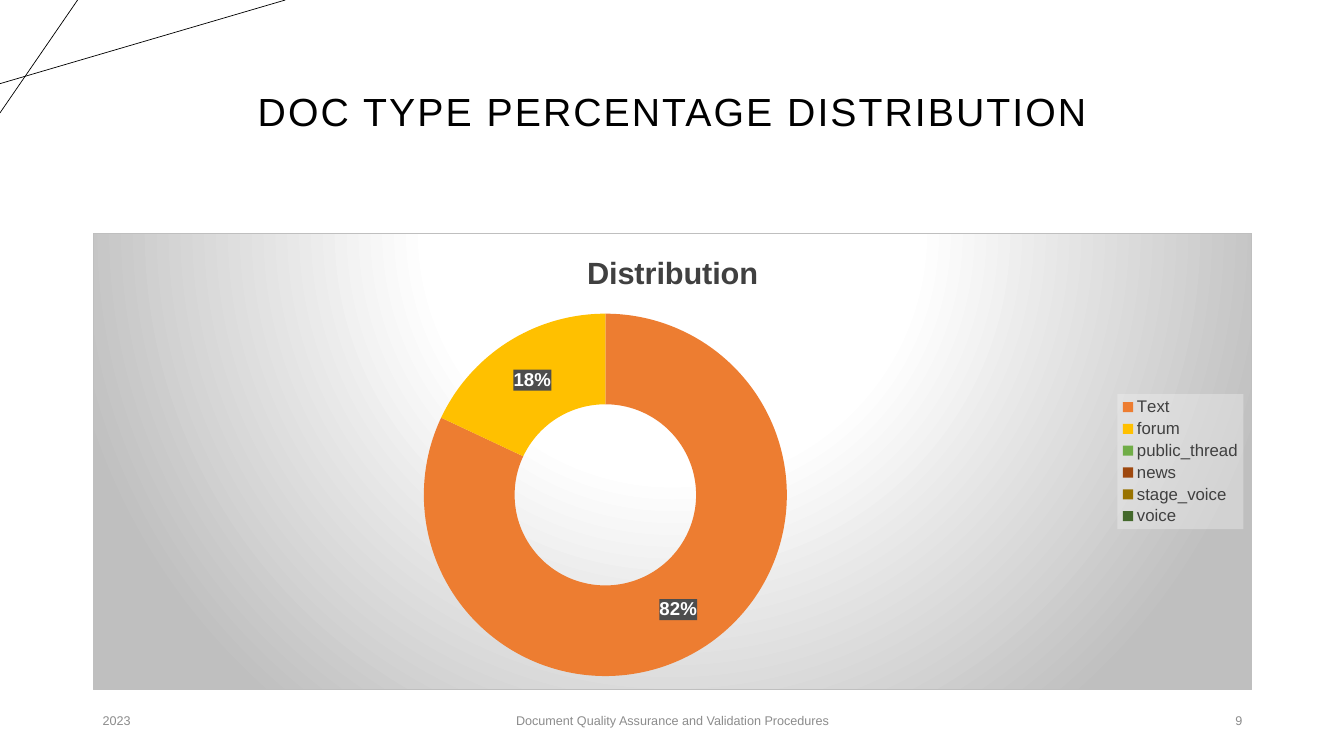
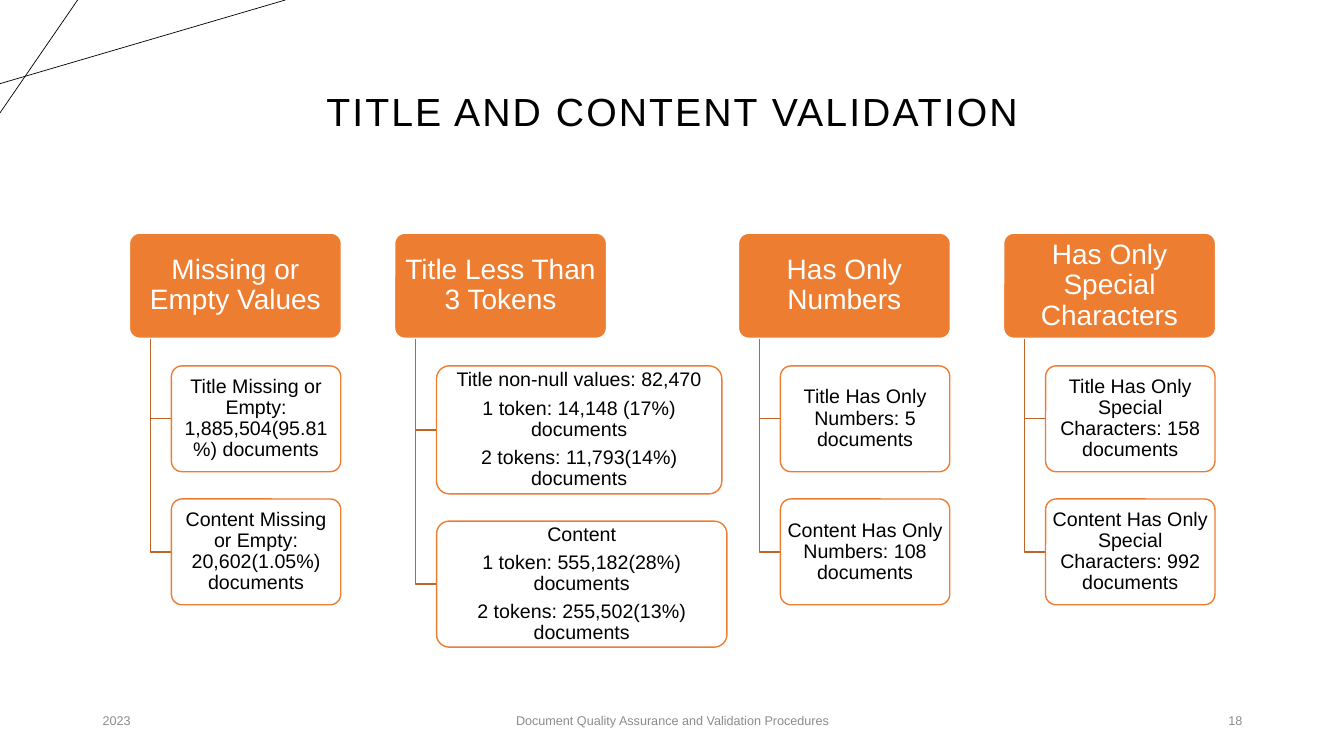
"""Build two slides: a document type doughnut chart and a validation breakdown."""
from dataclasses import dataclass

from lxml import etree
from pptx import Presentation
from pptx import util as u
from pptx.chart import data as chart_data
from pptx.dml.color import RGBColor
from pptx.enum import chart as charts, shapes, text
from pptx.oxml import ns, parse_xml

Inches, Pt = u.Inches, u.Pt
LEFT, CENTER, RIGHT = text.PP_ALIGN.LEFT, text.PP_ALIGN.CENTER, text.PP_ALIGN.RIGHT


@dataclass(frozen=True)
class Theme:
    font: str = "Arial"
    black: str = "000000"
    white: str = "FFFFFF"
    orange: str = "ED7D31"
    elbow: str = "BE6427"
    footer: str = "8C8C8C"
    chart_text: str = "404040"
    chart_edge: str = "BFBFBF"
    label_fill: str = "4D4D4D"
    legend_fill: str = "F2F2F2"
    title_size: float = 28
    chart_title_size: float = 22
    header_size: float = 20
    detail_size: float = 14
    label_size: float = 13.3
    legend_size: float = 12
    chart_size: float = 10
    footer_size: float = 9


THEME = Theme()

CORNER_LINES = [((0, 0.83), (2.83, 0)), ((0.77, 0), (0, 1.12))]
TITLE_BOX = (0.92, 0.4, 11.5, 1.45)
FOOTER_TOP, FOOTER_HEIGHT = 6.95, 0.4
YEAR = "2023"
FOOTER = "Document Quality Assurance and Validation Procedures"

CHART_BOX = (0.92, 2.31, 11.5, 4.54)
DOC_TYPES = [
    ("Text", 82, "ED7D31"),
    ("forum", 18, "FFC000"),
    ("public_thread", 0, "70AD47"),
    ("news", 0, "9E480E"),
    ("stage_voice", 0, "997300"),
    ("voice", 0, "43682B"),
]

HEADER_TOP, HEADER_WIDTH, BOX_HEIGHT = 2.31, 2.11, 1.05
DETAIL_WIDTH, STEM, GAP = 1.68, 0.21, 0.27
SMALL = (DETAIL_WIDTH, BOX_HEIGHT)
CHECKS = [
    (1.28, "Missing or Empty Values", [
        (SMALL, ["Title Missing or Empty: 1,885,504(95.81%) documents"]),
        (SMALL, ["Content Missing or Empty: 20,602(1.05%) documents"]),
    ]),
    (3.91, "Title Less Than 3 Tokens", [
        ((2.83, 1.27), ["Title non-null values: 82,470",
                        "1 token: 14,148 (17%) documents",
                        "2 tokens: 11,793(14%) documents"]),
        ((2.88, 1.25), ["Content",
                        "1 token: 555,182(28%) documents",
                        "2 tokens: 255,502(13%) documents"]),
    ]),
    (7.32, "Has Only Numbers", [
        (SMALL, ["Title Has Only Numbers: 5 documents"]),
        (SMALL, ["Content Has Only Numbers: 108 documents"]),
    ]),
    (9.95, "Has Only Special Characters", [
        (SMALL, ["Title Has Only Special Characters: 158 documents"]),
        (SMALL, ["Content Has Only Special Characters: 992 documents"]),
    ]),
]


def rgb(color):
    return RGBColor.from_string(color)


def inches(values):
    return [Inches(value) for value in values]


def set_font(font, size, color, bold=False):
    font.name, font.size, font.bold = THEME.font, Pt(size), bold
    font.color.rgb = rgb(color)


def write(frame, lines, *, size, color, align=CENTER, bold=False,
          spacing=1.0, gap=0, tracking=0, inset=(0.1, 0.05)):
    frame.word_wrap = True
    frame.auto_size = text.MSO_AUTO_SIZE.NONE
    frame.vertical_anchor = text.MSO_ANCHOR.MIDDLE
    frame.margin_left = frame.margin_right = Inches(inset[0])
    frame.margin_top = frame.margin_bottom = Inches(inset[1])
    for index, line in enumerate(lines):
        paragraph = frame.add_paragraph() if index else frame.paragraphs[0]
        paragraph.alignment = align
        paragraph.line_spacing = spacing
        paragraph.space_before = Pt(0)
        paragraph.space_after = Pt(gap if index < len(lines) - 1 else 0)
        run = paragraph.add_run()
        run.text = line
        set_font(run.font, size, color, bold)
        if tracking:
            run.font._element.set("spc", str(int(tracking * 100)))


def add_base_slide(presentation, title, number):
    slide = presentation.slides.add_slide(presentation.slide_layouts[5])
    for start, end in CORNER_LINES:
        line = slide.shapes.add_connector(
            shapes.MSO_CONNECTOR.STRAIGHT, *inches(start + end))
        line.line.color.rgb = rgb(THEME.black)
        line.line.width = Pt(0.5)
        etree.SubElement(line.element.find(ns.qn("p:spPr")), ns.qn("a:effectLst"))
    heading = slide.shapes.title
    heading.left, heading.top, heading.width, heading.height = inches(TITLE_BOX)
    write(heading.text_frame, [title], size=THEME.title_size,
          color=THEME.black, spacing=0.9, tracking=1.5)
    for left, width, words, align in [(0.92, 3, YEAR, LEFT),
                                      (4.42, 4.5, FOOTER, CENTER),
                                      (9.42, 3, str(number), RIGHT)]:
        box = slide.shapes.add_textbox(
            *inches((left, FOOTER_TOP, width, FOOTER_HEIGHT)))
        write(box.text_frame, [words], size=THEME.footer_size,
              color=THEME.footer, align=align)
    return slide


def solid(color, opacity=100):
    return (f'<a:solidFill><a:srgbClr val="{color}">'
            f'<a:alpha val="{opacity * 1000}"/></a:srgbClr></a:solidFill>')


def paint(chart, query, fill, line="<a:ln><a:noFill/></a:ln>"):
    parent = chart.element.xpath(query)[0]
    parent.find(ns.qn("c:txPr")).addprevious(
        parse_xml(f'<c:spPr {ns.nsdecls("c", "a")}>{fill}{line}</c:spPr>'))


def add_distribution_chart(slide):
    names, values, colors = zip(*DOC_TYPES)
    data = chart_data.CategoryChartData()
    data.categories = names
    data.add_series("Distribution", values)
    chart = slide.shapes.add_chart(
        charts.XL_CHART_TYPE.DOUGHNUT, *inches(CHART_BOX), data).chart
    set_font(chart.font, THEME.chart_size, THEME.black)
    chart.has_title = True
    write(chart.chart_title.text_frame, ["Distribution"], bold=True,
          size=THEME.chart_title_size, color=THEME.chart_text)
    chart.chart_title.include_in_layout = False
    chart.has_legend = True
    chart.legend.position = charts.XL_LEGEND_POSITION.RIGHT
    chart.legend.include_in_layout = False
    set_font(chart.legend.font, THEME.legend_size, THEME.chart_text)

    plot = chart.plots[0]
    plot.vary_by_categories = True
    series = plot.series[0]
    for index, color in enumerate(colors):
        point = series.points[index].format
        point.fill.solid()
        point.fill.fore_color.rgb = rgb(color)
        point.line.fill.background()
    labels = series.data_labels
    labels.show_value = False
    labels.show_percentage = True
    labels.number_format = "0%"
    labels.number_format_is_linked = False
    set_font(labels.font, THEME.label_size, THEME.white, bold=True)

    stops = "".join(
        f'<a:gs pos="{position * 1000}"><a:srgbClr val="{color}"/></a:gs>'
        for position, color in [(0, THEME.white), (39, THEME.white),
                                (100, THEME.chart_edge)])
    backdrop = (f'<a:gradFill><a:gsLst>{stops}</a:gsLst><a:path path="circle">'
                '<a:fillToRect l="50000" t="-80000" r="50000" b="180000"/>'
                '</a:path></a:gradFill>')
    edge = f'<a:ln w="{Pt(0.75)}">{solid(THEME.chart_edge)}</a:ln>'
    paint(chart, ".", backdrop, edge)
    paint(chart, ".//c:legend", solid(THEME.legend_fill, 39))
    paint(chart, ".//c:ser/c:dLbls", solid(THEME.label_fill))


def add_box(slide, box, lines, *, fill, line, line_width, **style):
    shape = slide.shapes.add_shape(
        shapes.MSO_SHAPE.ROUNDED_RECTANGLE, *inches(box))
    shape.adjustments[0] = 0.1
    shape.shadow.inherit = False
    shape.fill.solid()
    shape.fill.fore_color.rgb = rgb(fill)
    shape.line.color.rgb = rgb(line)
    shape.line.width = Pt(line_width)
    write(shape.text_frame, lines, spacing=0.9, **style)


def add_elbow(slide, left, top, right, bottom):
    left, top, right, bottom = inches((left, top, right, bottom))
    builder = slide.shapes.build_freeform(left, top)
    builder.add_line_segments([(left, bottom), (right, bottom)], close=False)
    elbow = builder.convert_to_shape()
    elbow.shadow.inherit = False
    elbow.fill.background()
    elbow.line.color.rgb = rgb(THEME.elbow)
    elbow.line.width = Pt(1)


def add_check(slide, left, header, details):
    add_box(slide, (left, HEADER_TOP, HEADER_WIDTH, BOX_HEIGHT), [header],
            fill=THEME.orange, line=THEME.white, line_width=1.5,
            size=THEME.header_size, color=THEME.white, inset=(0.04, 0.03))
    header_bottom = HEADER_TOP + BOX_HEIGHT
    stem_left, detail_left = left + STEM, left + 2 * STEM
    top = header_bottom + GAP
    for (width, height), lines in details:
        add_elbow(slide, stem_left, header_bottom, detail_left, top + height / 2)
        add_box(slide, (detail_left, top, width, height), lines,
                fill=THEME.white, line=THEME.orange, line_width=1,
                size=THEME.detail_size, color=THEME.black,
                gap=5, inset=(0.03, 0.02))
        top += height + GAP


def main():
    presentation = Presentation()
    presentation.slide_width, presentation.slide_height = inches((13.33, 7.5))
    slide = add_base_slide(presentation, "DOC TYPE PERCENTAGE DISTRIBUTION", 9)
    add_distribution_chart(slide)
    slide = add_base_slide(presentation, "TITLE AND CONTENT VALIDATION", 18)
    for check in CHECKS:
        add_check(slide, *check)
    presentation.save("out.pptx")


if __name__ == "__main__":
    main()
